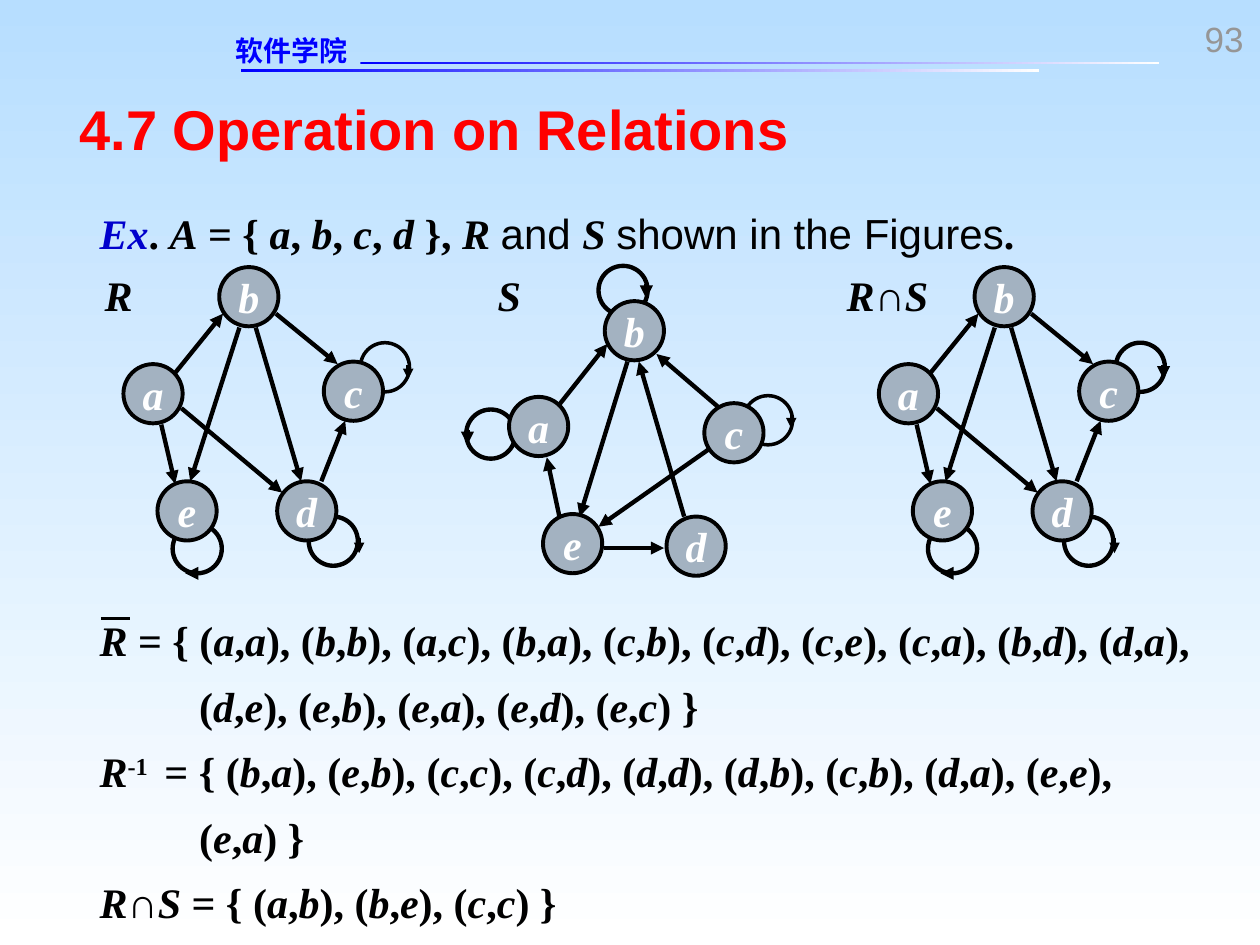
import itertools
import lxml.etree
import pptx
import pptx.dml.color
import pptx.enum.shapes
import pptx.enum.text
import pptx.oxml.ns
import pptx.util

deck = pptx.Presentation()
deck.slide_width = pptx.util.Inches(10)
deck.slide_height = pptx.util.Inches(7.5)
page = deck.slides.add_slide(deck.slide_layouts[6])
cell = deck.slide_width / 100
color = pptx.dml.color.RGBColor.from_string
qn = pptx.oxml.ns.qn
ALIGN = pptx.enum.text.PP_ALIGN
SHAPE = pptx.enum.shapes.MSO_SHAPE
SERIF = "Times New Roman"


def write(shape, lines, paragraph_format=None, **base):
    frame = shape.text_frame
    for number, line in enumerate(lines):
        para = frame.add_paragraph() if number else frame.paragraphs[0]
        for name, value in (paragraph_format or {}).items():
            setattr(para, name, value)
        for text, changes in line:
            style = {"name": SERIF, "size": 24, "bold": True, "color": "000000", **base, **changes}
            serif = style["name"] == SERIF
            for letters, group in itertools.groupby(text, lambda sign: serif and sign.isalpha()):
                span = para.add_run()
                span.text = "".join(group)
                font_format = {"name": style["name"], "size": pptx.util.Pt(style["size"]),
                               "bold": style["bold"], "italic": letters}
                for name, value in font_format.items():
                    setattr(span.font, name, value)
                span.font.color.rgb = color(style["color"])
                if "baseline" in style:
                    span._r.get_or_add_rPr().set("baseline", style["baseline"])


def draw_line(shapes, ends, weight, arrow=True):
    line = shapes.add_connector(pptx.enum.shapes.MSO_CONNECTOR.STRAIGHT,
                                *(round(end * cell) for end in ends))
    line.line.color.rgb = color("000000")
    line.line.width = pptx.util.Pt(weight)
    properties = line._element.spPr
    if arrow:
        lxml.etree.SubElement(properties.get_or_add_ln(), qn("a:tailEnd"), type="triangle")
    lxml.etree.SubElement(properties, qn("a:effectLst"))


gradients = [(page.background.fill, 270, "B7DEFF")]
for column, row in [(19.1, 5.5), (28.6, 4.9)]:
    bar = page.shapes.add_shape(SHAPE.RECTANGLE, *(round(n * cell) for n in (column, row, 63.4, 0.2)))
    bar.shadow.inherit = False
    bar.line.fill.background()
    gradients.append((bar.fill, 0, "0000FF"))
for fill, angle, start in gradients:
    fill.gradient()
    fill.gradient_angle = angle
    for stop, tone in zip(fill.gradient_stops, (start, "FFFFFF")):
        stop.color.rgb = color(tone)

plain = {"name": "Arial", "bold": False}
example = [("Ex", {"color": "0000CC"}), (". A = { a, b, c, d }, R ", {}), ("and ", plain),
           ("S ", {}), ("shown in the Figures", plain), (".", {})]
results = [
    [("R = { (a,a), (b,b), (a,c), (b,a), (c,b), (c,d), (c,e), (c,a), (b,d), (d,a), "
      "(d,e), (e,b), (e,a), (e,d), (e,c) }", {})],
    [("R", {}), ("-1 ", {"baseline": "30000"}),
     (" = { (b,a), (e,b), (c,c), (c,d), (d,d), (d,b), (c,b), (d,a), (e,e), (e,a) }", {})],
    [("R∩S = { (a,b), (b,e), (c,c) }", {})],
]
texts = [
    ((18.7, 2.7, 14.5, 2.7), [[("软件学院", {})]], {},
     {"name": "DejaVu Sans", "size": 16, "color": "0000FF"}),
    ((91.2, 1.4, 7.5, 3.3), [[("93", {})]], {"alignment": ALIGN.RIGHT},
     {"name": "Arial", "size": 20, "bold": False, "color": "969696"}),
    ((6.3, 7.5, 89.5, 5.3), [[("4.7 Operation on Relations", {})]], {},
     {"name": "Arial", "size": 32, "color": "FF0000"}),
    ((7.9, 15.7, 86.1, 4.8), [example], {"line_spacing": 1.2}, {}),
    ((7.9, 47.6, 88.8, 26), results, {"line_spacing": 1.3}, {}),
    ((8.3, 21.4, 2.4, 4), [[("R", {})]], {}, {}),
    ((39.5, 21.4, 1.9, 4), [[("S", {})]], {}, {}),
    ((67.2, 21.4, 8.1, 4), [[("R∩S", {})]], {}, {}),
]
for place, lines, paragraph_format, font_format in texts:
    box = page.shapes.add_textbox(*(round(n * cell) for n in place))
    frame_format = {"word_wrap": True, "auto_size": pptx.enum.text.MSO_AUTO_SIZE.SHAPE_TO_FIT_TEXT,
                    "margin_left": 0, "margin_top": 0, "margin_right": 0, "margin_bottom": 0}
    for name, value in frame_format.items():
        setattr(box.text_frame, name, value)
    write(box, lines, paragraph_format, **font_format)
    if lines is results:
        for para in box.text_frame.paragraphs:
            indent = round(7.9 * cell)
            para._p.get_or_add_pPr().set("marL", str(indent))
            para._p.get_or_add_pPr().set("indent", str(-indent))

relation_r = {
    "loops": [((28.6, 27.2), (32.4, 29, 32.4, 30.1), None, None),
              ((24.5, 41), (28.5, 42.7, 28.5, 43.9), 2.5, 2),
              ((13.7, 41.6), (15.9, 45.5, 14.7, 45.5), 2.5, 2.5)],
    "nodes": {"b": (17.4, 21.2), "c": (25.7, 28.7), "d": (22, 38.2),
              "e": (12.5, 38.2), "a": (9.8, 28.9)},
    "edges": [(19, 26, 15.1, 38.2), (13.9, 29.6, 17.7, 24.9), (21.9, 24.9, 26.8, 28.9),
              (12.8, 33.7, 13.9, 38.4), (25.5, 38.2, 27.4, 33.4), (20.3, 26, 23.9, 38.2),
              (14.4, 32.4, 22.4, 39.1)],
}
relation_s = {
    "loops": [((59, 31.4), (62.8, 32.8, 62.8, 34), None, None),
              ((47.5, 21.1), (51.3, 22.5, 51.3, 23.7), 2.5, 2.5),
              ((37, 32.5), (37.1, 34.1, 37.1, 35.3), 2.5, 2.5)],
    "nodes": {"b": (48, 23.9), "c": (55.9, 32), "d": (52.9, 41),
              "e": (43.1, 40.8), "a": (40.4, 31.5)},
    "edges": [(49.8, 28.7, 46, 41), (44.4, 32.1, 48.2, 27.3), (57, 32.3, 52.1, 28.1),
              (44.4, 41, 43.4, 36.3), (56.2, 35.7, 47.5, 41.8), (54.3, 41, 50.7, 28.7),
              (47.9, 43.5, 52.7, 43.5)],
}
for graph, shift, loop_weight in [(relation_r, 0, 2), (relation_s, 0, 2), (relation_r, 59.95, 2.5)]:
    shapes = page.shapes.add_group_shape().shapes
    rings = [(place, 3.9, weight or loop_weight, None, arrow, arrow_weight or loop_weight)
             for place, arrow, weight, arrow_weight in graph["loops"]]
    nodes = [(place, 4.7, 2.25, label, None, None) for label, place in graph["nodes"].items()]
    for (column, row), side, weight, label, arrow, arrow_weight in rings + nodes:
        circle = shapes.add_shape(SHAPE.OVAL, *(round(n * cell) for n in (column + shift, row, side, side)))
        circle.shadow.inherit = False
        circle.line.color.rgb = color("000000")
        circle.line.width = pptx.util.Pt(weight)
        if label:
            circle.fill.solid()
            circle.fill.fore_color.rgb = color("A3B2C1")
            circle.text_frame.word_wrap = False
            circle.text_frame.vertical_anchor = pptx.enum.text.MSO_ANCHOR.MIDDLE
            write(circle, [[(label, {})]], {"alignment": ALIGN.CENTER}, color="FFFFFF")
        else:
            circle.fill.background()
            x1, y1, x2, y2 = arrow
            draw_line(shapes, (x1 + shift, y1, x2 + shift, y2), arrow_weight)
    for x1, y1, x2, y2 in graph["edges"]:
        draw_line(shapes, (x1 + shift, y1, x2 + shift, y2), 2.5)

draw_line(page.shapes, (8, 49.1, 10.3, 49.1), 2, arrow=False)
deck.save("out.pptx")
